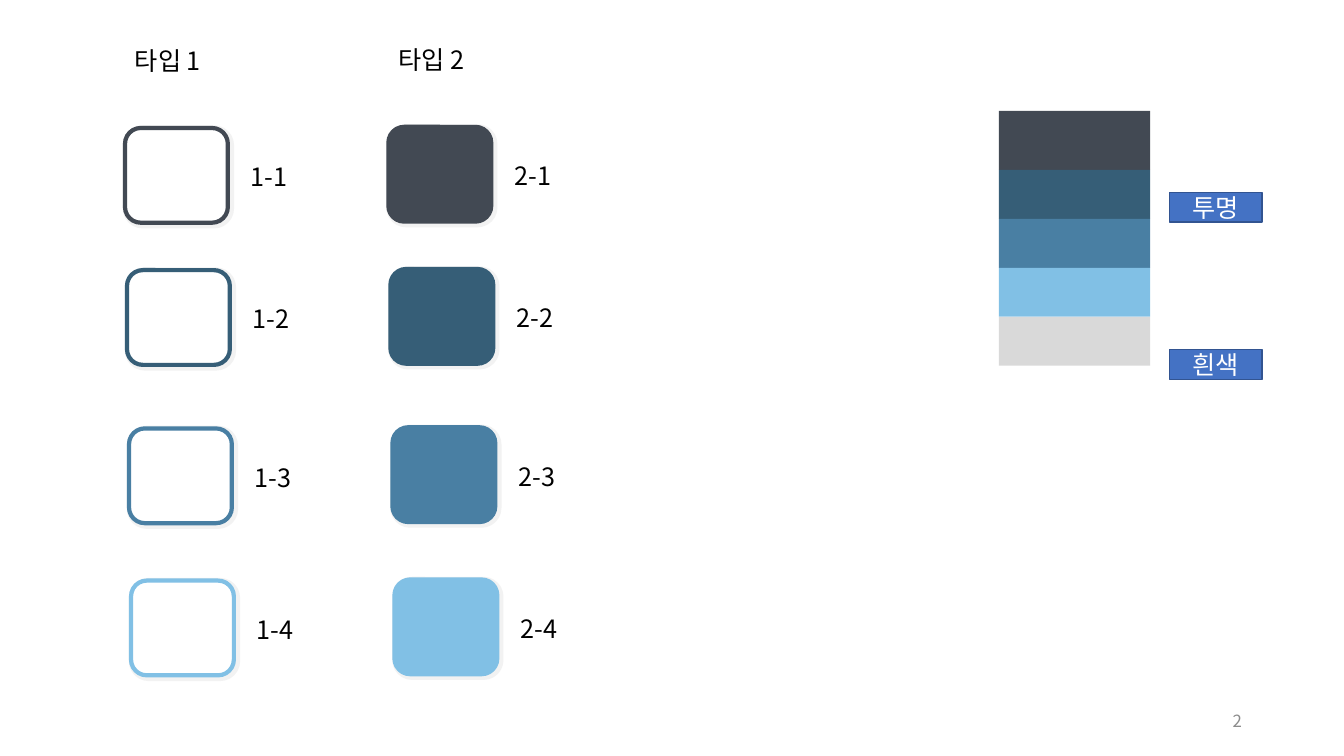
from pptx import Presentation, util as u
from pptx.dml.color import RGBColor
from pptx.enum import shapes, text
from pptx.oxml import parse_xml
from pptx.oxml.ns import nsdecls

COLORS = {
    "slate": "424953", "navy": "365E77", "steel": "497FA3", "sky": "81C0E5",
    "gray": "D9D9D9", "halo": "F2F2F2", "white": "FFFFFF", "black": "000000",
    "tag": "4472C4", "tag_edge": "325491", "page": "8C8C8C",
}
FONT = "Noto Sans CJK KR"
PALETTE = ["slate", "navy", "steel", "sky"]


def rgb(name):
    return RGBColor.from_string(COLORS[name])


def write(frame, wording, size=18, color="black", align=text.PP_ALIGN.LEFT,
          anchor=text.MSO_ANCHOR.TOP):
    frame.word_wrap = True
    frame.vertical_anchor = anchor
    paragraph = frame.paragraphs[0]
    paragraph.alignment = align
    run = paragraph.add_run()
    run.text = wording
    run.font.size = u.Pt(size)
    run.font.name = FONT
    run.font.color.rgb = rgb(color)
    run.font._element.append(parse_xml(f'<a:ea {nsdecls("a")} typeface="{FONT}"/>'))


class Sheet:
    """Places elements by percent of the slide's width and height."""

    def __init__(self, deck):
        self.width, self.height = deck.slide_width, deck.slide_height
        self.slide = deck.slides.add_slide(deck.slide_layouts[6])

    def area(self, x, y, w, h):
        return (int(self.width * x / 100), int(self.height * y / 100),
                int(self.width * w / 100), int(self.height * h / 100))

    def block(self, x, y, w, h, fill, line=None, weight=1, rounded=False):
        kind = shapes.MSO_SHAPE
        preset = kind.ROUNDED_RECTANGLE if rounded else kind.RECTANGLE
        block = self.slide.shapes.add_shape(preset, *self.area(x, y, w, h))
        block.shadow.inherit = False
        block.fill.solid()
        block.fill.fore_color.rgb = rgb(fill)
        if line:
            block.line.color.rgb = rgb(line)
            block.line.width = u.Pt(weight)
        else:
            block.line.fill.background()
        return block

    def label(self, x, y, w, wording, **style):
        box = self.slide.shapes.add_textbox(*self.area(x, y, w, 5.33))
        write(box.text_frame, wording, **style)

    def card(self, x, y, fill, edge, wording):
        w, h = 7.65, 12.53
        self.block(x + 0.15, y + 0.2, w, h, "white", "halo", 6, rounded=True)
        self.block(x, y, w, h, fill, edge, 3, rounded=True)
        self.label(x + 8.63, y + 3.8, 5.33, wording)

    def tag(self, y, wording):
        tag = self.block(87, y, 6.9, 3.9, "tag", "tag_edge")
        write(tag.text_frame, wording, color="white", align=text.PP_ALIGN.CENTER,
              anchor=text.MSO_ANCHOR.MIDDLE)


def main():
    deck = Presentation()
    deck.slide_width, deck.slide_height = u.Inches(13.333), u.Inches(7.5)
    sheet = Sheet(deck)

    # Two card types: outlined and filled, each row shifted slightly right
    card_rows = [16.93, 35.73, 56.67, 76.8]
    for kind, (left, lift) in enumerate([(9.3, 0), (28.9, 0.15)], 1):
        sheet.label(left, 5.33 - lift, 7.65, f"타입 {kind}")
        for i, (top, color) in enumerate(zip(card_rows, PALETTE)):
            fill = "white" if kind == 1 else color
            sheet.card(left + 0.15 * i, top - lift, fill, color, f"{kind}-{i + 1}")

    # Palette column with a taller first swatch
    swatch_left, swatch_width, step, second_top = 74.33, 11.25, 6.48, 22.47
    sheet.block(swatch_left, 14.67, swatch_width, 7.8, PALETTE[0])
    for i, color in enumerate(PALETTE[1:] + ["gray"]):
        sheet.block(swatch_left, second_top + i * step, swatch_width, step, color)

    # Palette tags
    for top, wording in [(25.47, "투명"), (46.27, "흰색")]:
        sheet.tag(top, wording)

    # Page number
    sheet.label(70.65, 92.67, 22.5, "2", size=12, color="page",
                align=text.PP_ALIGN.RIGHT, anchor=text.MSO_ANCHOR.MIDDLE)

    deck.save("out.pptx")


if __name__ == "__main__":
    main()
